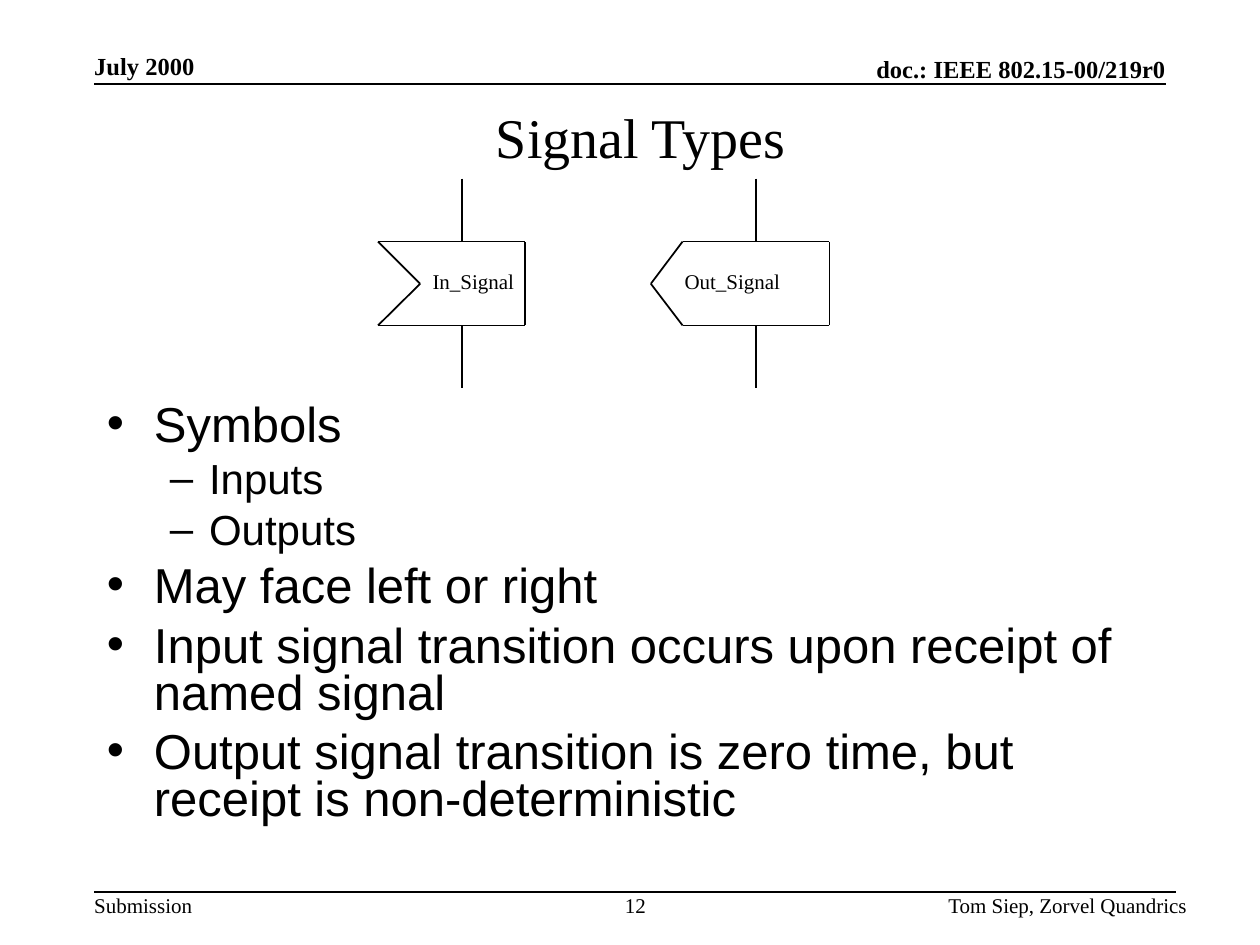
"""Build the Signal Types slide with its two signal symbols."""
from lxml.etree import SubElement
from pptx import Presentation
from pptx.dml.color import RGBColor
from pptx.enum.shapes import MSO_CONNECTOR
from pptx.enum.text import MSO_ANCHOR, MSO_AUTO_SIZE, PP_ALIGN
from pptx.oxml.ns import qn
from pptx.util import Cm, Pt

BLACK = RGBColor(0, 0, 0)
SERIF = "Times New Roman"
SANS = "Arial"


def add_line(page, start, end):
    line = page.shapes.add_connector(
        MSO_CONNECTOR.STRAIGHT, Cm(start[0]), Cm(start[1]), Cm(end[0]), Cm(end[1]))
    line.line.color.rgb = BLACK
    line.line.width = Pt(1)
    SubElement(line._element.spPr, qn("a:effectLst"))


def format_span(span, font, size, bold=False):
    span.font.name = font
    span.font.size = Pt(size)
    span.font.bold = bold
    span.font.color.rgb = BLACK


deck = Presentation()
deck.slide_width, deck.slide_height = Cm(25.4), Cm(19.05)
page = deck.slides.add_slide(deck.slide_layouts[1])

title = page.shapes.title
title.left, title.top, title.width, title.height = Cm(2.12), Cm(1.69), Cm(21.59), Cm(2.12)
title.text_frame.text = "Signal Types"
title.text_frame.auto_size = MSO_AUTO_SIZE.NONE
title.text_frame.vertical_anchor = MSO_ANCHOR.MIDDLE
title.text_frame.paragraphs[0].alignment = PP_ALIGN.CENTER
format_span(title.text_frame.paragraphs[0].runs[0], SERIF, 32)

bullets = [
    (0, "Symbols"),
    (1, "Inputs"),
    (1, "Outputs"),
    (0, "May face left or right"),
    (0, "Input signal transition occurs upon receipt of named signal"),
    (0, "Output signal transition is zero time, but receipt is non-deterministic"),
]
level_styles = [("•", 0.95, 0.95, 28, 7), ("–", 2.06, 0.79, 24, 6)]

body = page.placeholders[1]
body.left, body.top, body.width, body.height = Cm(1.9), Cm(8.04), Cm(21.59), Cm(8.89)
body.text_frame.text = "\n".join(text for level, text in bullets)
body.text_frame.auto_size = MSO_AUTO_SIZE.NONE
for index, (level, text) in enumerate(bullets):
    paragraph = body.text_frame.paragraphs[index]
    mark, margin, hanging, size, space = level_styles[level]
    paragraph.level = level
    properties = paragraph._p.get_or_add_pPr()
    properties.set("marL", str(Cm(margin)))
    properties.set("indent", str(-Cm(hanging)))
    SubElement(properties, qn("a:buChar")).set("char", mark)
    paragraph.line_spacing = 0.8
    paragraph.space_before = Pt(space if index else 0)
    format_span(paragraph.runs[0], SANS, size)

rule_left = 1.9
for rule_right, rule_y in [(23.5, 1.69), (23.7, 17.99)]:
    add_line(page, (rule_left, rule_y), (rule_right, rule_y))

stem_top, symbol_top, symbol_middle, symbol_bottom, stem_bottom = 3.6, 4.87, 5.72, 6.56, 7.83
for corner_x, point_x, right_x, stem_x in [
    (7.62, 8.47, 10.58, 9.31),
    (13.76, 13.12, 16.72, 15.24),
]:
    outline = [
        (corner_x, symbol_top),
        (point_x, symbol_middle),
        (corner_x, symbol_bottom),
        (right_x, symbol_bottom),
        (right_x, symbol_top),
    ]
    for start, end in zip(outline, outline[1:] + outline[:1]):
        add_line(page, start, end)
    add_line(page, (stem_x, stem_top), (stem_x, symbol_top))
    add_line(page, (stem_x, symbol_bottom), (stem_x, stem_bottom))

left, center, right = PP_ALIGN.LEFT, PP_ALIGN.CENTER, PP_ALIGN.RIGHT
top, bottom = MSO_ANCHOR.TOP, MSO_ANCHOR.BOTTOM
labels = [
    ("July 2000", 1.9, 1.04, 4.45, 0.58, left, bottom, 14, 0),
    ("doc.: IEEE 802.15-00/219r0", 12.5, 1.1, 11, 0.58, right, bottom, 14, 0),
    ("In_Signal", 8.47, 5.29, 2.75, 0.76, left, top, 12, 1),
    ("Out_Signal", 13.55, 5.29, 2.75, 0.76, left, top, 12, 1),
    ("Submission", 1.9, 17.99, 1.98, 0.51, left, top, 12, 0),
    ("12", 12.07, 17.99, 1.48, 0.51, center, top, 12, 0),
    ("Tom Siep, Zorvel Quandrics", 15.24, 17.99, 8.69, 0.51, right, top, 12, 0),
]
for text, x, y, width, height, alignment, anchor, size, padding in labels:
    box = page.shapes.add_textbox(Cm(x), Cm(y), Cm(width), Cm(height))
    frame = box.text_frame
    frame.text = text
    frame.word_wrap = True
    frame.vertical_anchor = anchor
    frame.margin_left = frame.margin_right = Cm(0.25 * padding)
    frame.margin_top = frame.margin_bottom = Cm(0.13 * padding)
    frame.paragraphs[0].alignment = alignment
    format_span(frame.paragraphs[0].runs[0], SERIF, size, bold=size == 14)

deck.save("out.pptx")
